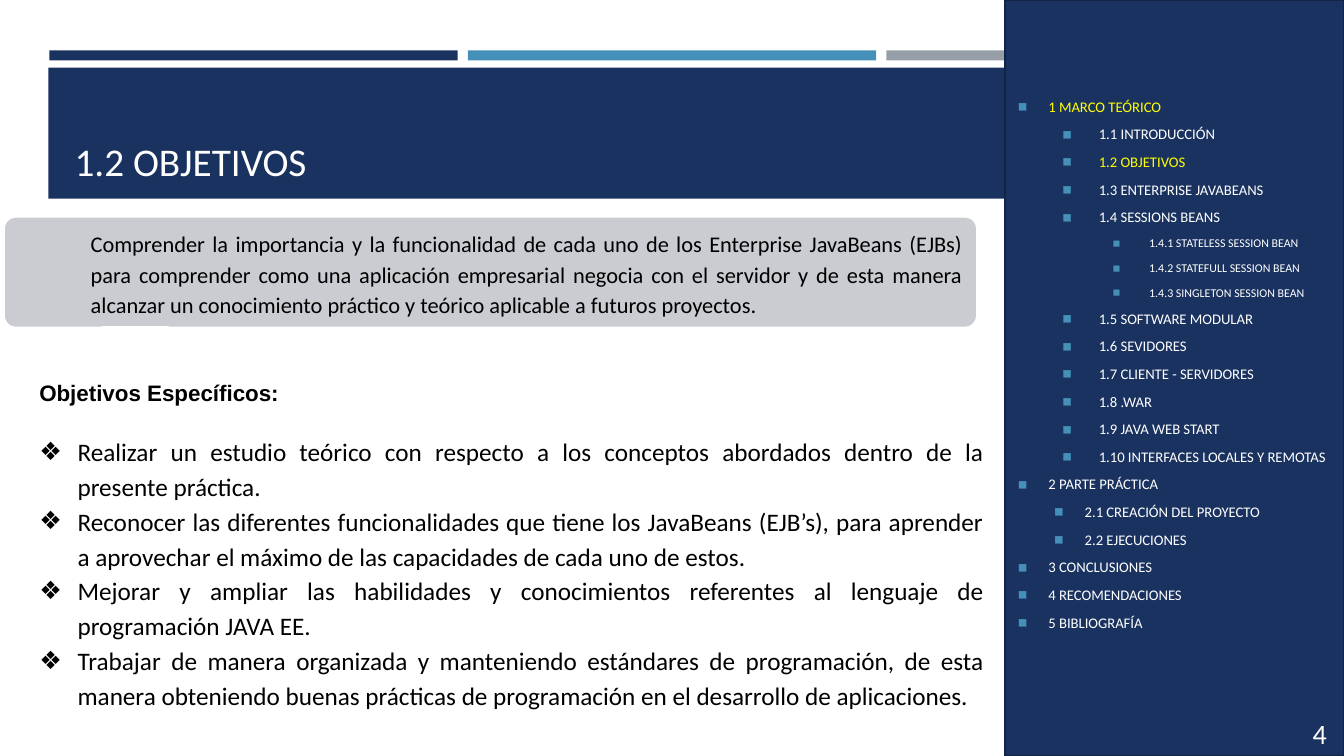
from lxml import etree
from pptx import Presentation
from pptx.dml.color import RGBColor
from pptx.enum.shapes import MSO_SHAPE
from pptx.enum.text import MSO_ANCHOR, MSO_AUTO_SIZE, PP_ALIGN
from pptx.oxml.ns import qn
from pptx.util import Inches, Pt

NAVY = RGBColor(0x1A, 0x32, 0x60)
DARK_NAVY = RGBColor(0x12, 0x24, 0x46)
BLUE = RGBColor(0x45, 0x90, 0xB8)
GRAY = RGBColor(0x96, 0x9F, 0xA7)
PALE_GRAY = RGBColor(0xCB, 0xCC, 0xD1)
WHITE = RGBColor(0xFF, 0xFF, 0xFF)
BLACK = RGBColor(0, 0, 0)
YELLOW = RGBColor(0xFF, 0xFF, 0)

# Content
TITLE = "1.2 OBJETIVOS"
SLIDE_NUMBER = "4"
GENERAL_GOAL = (
    "Comprender la importancia y la funcionalidad de cada uno de los Enterprise "
    "JavaBeans (EJBs) para comprender como una aplicación empresarial negocia con "
    "el servidor y de esta manera alcanzar un conocimiento práctico y teórico "
    "aplicable a futuros proyectos."
)
GOALS_HEADING = "Objetivos Específicos:"
GOALS = [
    "Realizar un estudio teórico con respecto a los conceptos abordados dentro de "
    "la presente práctica.",
    "Reconocer las diferentes funcionalidades que tiene los JavaBeans (EJB’s), para "
    "aprender a aprovechar el máximo de las capacidades de cada uno de estos.",
    "Mejorar y ampliar las habilidades y conocimientos referentes al lenguaje de "
    "programación JAVA EE.",
    "Trabajar de manera organizada y manteniendo estándares de programación, de esta "
    "manera obteniendo buenas prácticas de programación en el desarrollo de "
    "aplicaciones.",
]
# Outline entries: style, text
OUTLINE = [
    ("chapter", "1 MARCO TEÓRICO"),
    ("section", "1.1 INTRODUCCIÓN"),
    ("section", "1.2 OBJETIVOS"),
    ("section", "1.3 ENTERPRISE JAVABEANS"),
    ("section", "1.4 SESSIONS BEANS"),
    ("detail", "1.4.1 STATELESS SESSION BEAN"),
    ("detail", "1.4.2 STATEFULL SESSION BEAN"),
    ("detail", "1.4.3 SINGLETON SESSION BEAN"),
    ("section", "1.5 SOFTWARE MODULAR"),
    ("section", "1.6 SEVIDORES"),
    ("section", "1.7 CLIENTE - SERVIDORES"),
    ("section", "1.8 .WAR"),
    ("section", "1.9 JAVA WEB START"),
    ("section", "1.10 INTERFACES LOCALES Y REMOTAS"),
    ("chapter", "2 PARTE PRÁCTICA"),
    ("practice", "2.1 CREACIÓN DEL PROYECTO"),
    ("practice", "2.2 EJECUCIONES"),
    ("chapter", "3 CONCLUSIONES"),
    ("chapter", "4 RECOMENDACIONES"),
    ("chapter", "5 BIBLIOGRAFÍA"),
]
CURRENT = {"1 MARCO TEÓRICO", "1.2 OBJETIVOS"}
# Outline styles: level, left margin, hanging indent, text size
OUTLINE_STYLES = {
    "chapter": (0, 0.33, 0.3, 10.5),
    "section": (1, 0.83, 0.36, 10.5),
    "detail": (2, 1.33, 0.36, 8.5),
    "practice": (1, 0.69, 0.3, 10.5),
}


def add_block(slide, kind, box, fill=None, line=None, line_width=0.75):
    shape = slide.shapes.add_shape(kind, *map(Inches, box))
    shape.shadow.inherit = False
    if fill is None:
        shape.fill.background()
    else:
        shape.fill.solid()
        shape.fill.fore_color.rgb = fill
    if line is None:
        shape.line.fill.background()
    else:
        shape.line.color.rgb = line
        shape.line.width = Pt(line_width)
    return shape


def set_frame(frame, anchor, side=0.1, edge=0.05):
    frame.word_wrap = True
    frame.auto_size = MSO_AUTO_SIZE.NONE
    frame.vertical_anchor = anchor
    frame.margin_left = frame.margin_right = Inches(side)
    frame.margin_top = frame.margin_bottom = Inches(edge)


def add_text(slide, box, lines, anchor=MSO_ANCHOR.MIDDLE, side=0.1, edge=0.05):
    frame = slide.shapes.add_textbox(*map(Inches, box)).text_frame
    set_frame(frame, anchor, side, edge)
    frame.text = "\n".join(lines)
    return frame.paragraphs


def set_font(paragraph, size, color, name="Calibri", bold=False):
    for run in paragraph.runs:
        run.font.name = name
        run.font.size = Pt(size)
        run.font.bold = bold
        run.font.color.rgb = color


def set_bullet(paragraph, symbol, color, margin, hanging):
    properties = paragraph._p.get_or_add_pPr()
    properties.set("marL", str(Inches(margin)))
    properties.set("indent", str(-Inches(hanging)))
    bullet_color = etree.SubElement(properties, qn("a:buClr"))
    etree.SubElement(bullet_color, qn("a:srgbClr")).set("val", str(color))
    etree.SubElement(properties, qn("a:buFont")).set("typeface", "Arial")
    etree.SubElement(properties, qn("a:buChar")).set("char", symbol)


def main():
    presentation = Presentation()
    presentation.slide_width = Inches(13.33)
    presentation.slide_height = Inches(7.5)
    slide = presentation.slides.add_slide(presentation.slide_layouts[5])

    # Header stripes and banner
    for index, color in enumerate((NAVY, BLUE, GRAY)):
        stripe = (0.49 + 4.15 * index, 0.5, 4.05, 0.1)
        add_block(slide, MSO_SHAPE.RECTANGLE, stripe, color)
    add_block(slide, MSO_SHAPE.RECTANGLE, (0.48, 0.67, 12.37, 1.3), NAVY)

    # Title, brought in front of the banner
    title = slide.shapes.title
    title.left, title.top, title.width, title.height = map(
        Inches, (0.64, 0.77, 12.06, 1.11))
    title.text_frame.text = TITLE
    set_frame(title.text_frame, MSO_ANCHOR.BOTTOM)
    title.text_frame.paragraphs[0].alignment = PP_ALIGN.LEFT
    set_font(title.text_frame.paragraphs[0], 28, WHITE)
    slide.shapes._spTree.append(title._element)

    # General goal
    panel = add_block(slide, MSO_SHAPE.ROUNDED_RECTANGLE,
                      (0.05, 2.16, 9.63, 1.08), PALE_GRAY)
    panel.adjustments[0] = 0.1
    goal = add_text(slide, (0.77, 2.16, 8.91, 1.08), [GENERAL_GOAL],
                    side=0.13, edge=0.13)[0]
    goal.alignment = PP_ALIGN.JUSTIFY
    goal.line_spacing = 1.15
    goal.space_after = Pt(10)
    set_font(goal, 16, BLACK)

    # Sidebar and slide number
    add_block(slide, MSO_SHAPE.RECTANGLE, (9.97, 0, 3.36, 7.5), NAVY, DARK_NAVY, 1.75)
    number = add_text(slide, (12.92, 7.06, 0.41, 0.44), [SLIDE_NUMBER],
                      MSO_ANCHOR.TOP)[0]
    set_font(number, 20, WHITE)

    # White frame under the panel
    add_block(slide, MSO_SHAPE.RECTANGLE, (1.02, 3.24, 0.65, 0.62), line=WHITE)

    # Specific goals
    heading, *goals = add_text(slide, (0.26, 3.47, 9.63, 3.87),
                               [GOALS_HEADING, *GOALS], side=0.13, edge=0.13)
    set_font(heading, 16, BLACK, "Arial", True)
    heading.space_after = Pt(18.4)
    for paragraph in goals:
        paragraph.alignment = PP_ALIGN.JUSTIFY
        paragraph.line_spacing = 1.15
        set_font(paragraph, 18, BLACK)
        set_bullet(paragraph, "❖", BLACK, 0.38, 0.38)

    # Outline
    entries = add_text(slide, (9.97, 0.77, 3.36, 5.71), [text for _, text in OUTLINE])
    for paragraph, (style, text) in zip(entries, OUTLINE):
        level, margin, hanging, size = OUTLINE_STYLES[style]
        paragraph.level = level
        paragraph.line_spacing = 0.9
        paragraph.space_before = Pt(8.4)
        set_font(paragraph, size, YELLOW if text in CURRENT else WHITE)
        set_bullet(paragraph, "◼", BLUE, margin, hanging)

    presentation.save("out.pptx")


if __name__ == "__main__":
    main()
